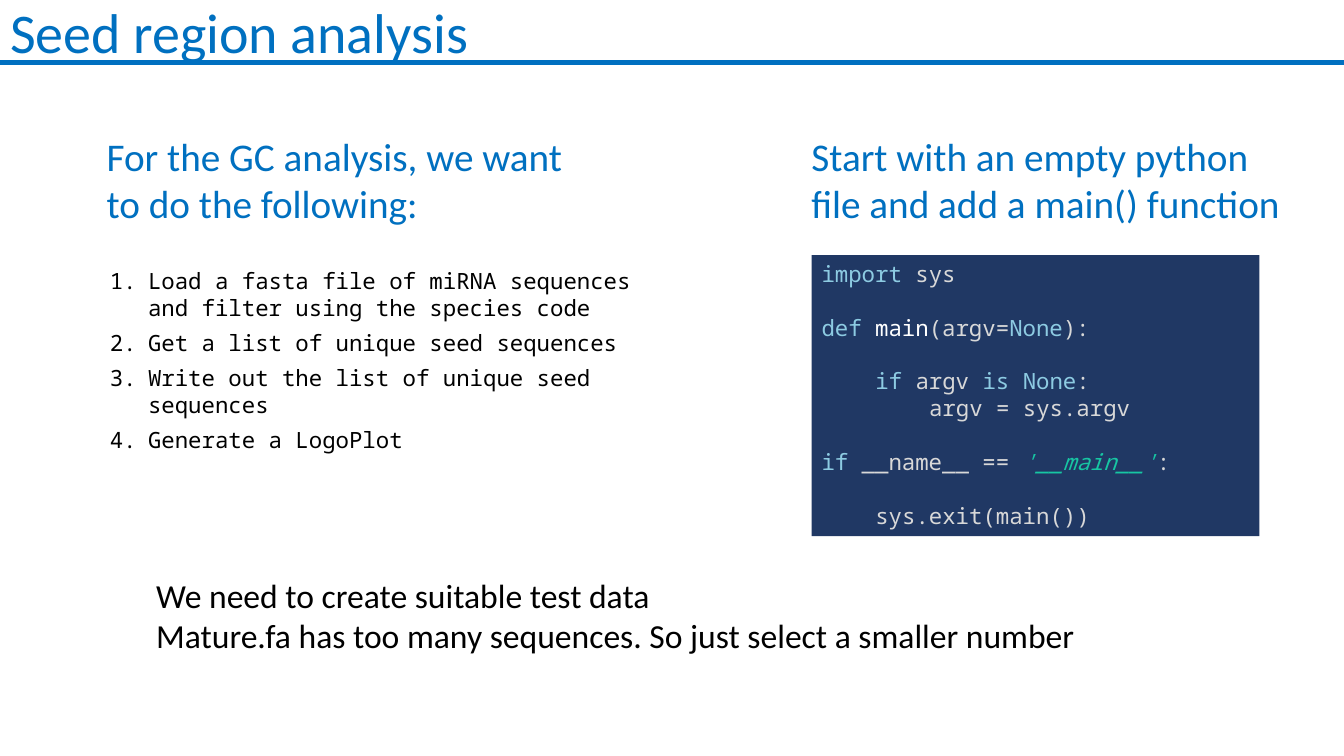
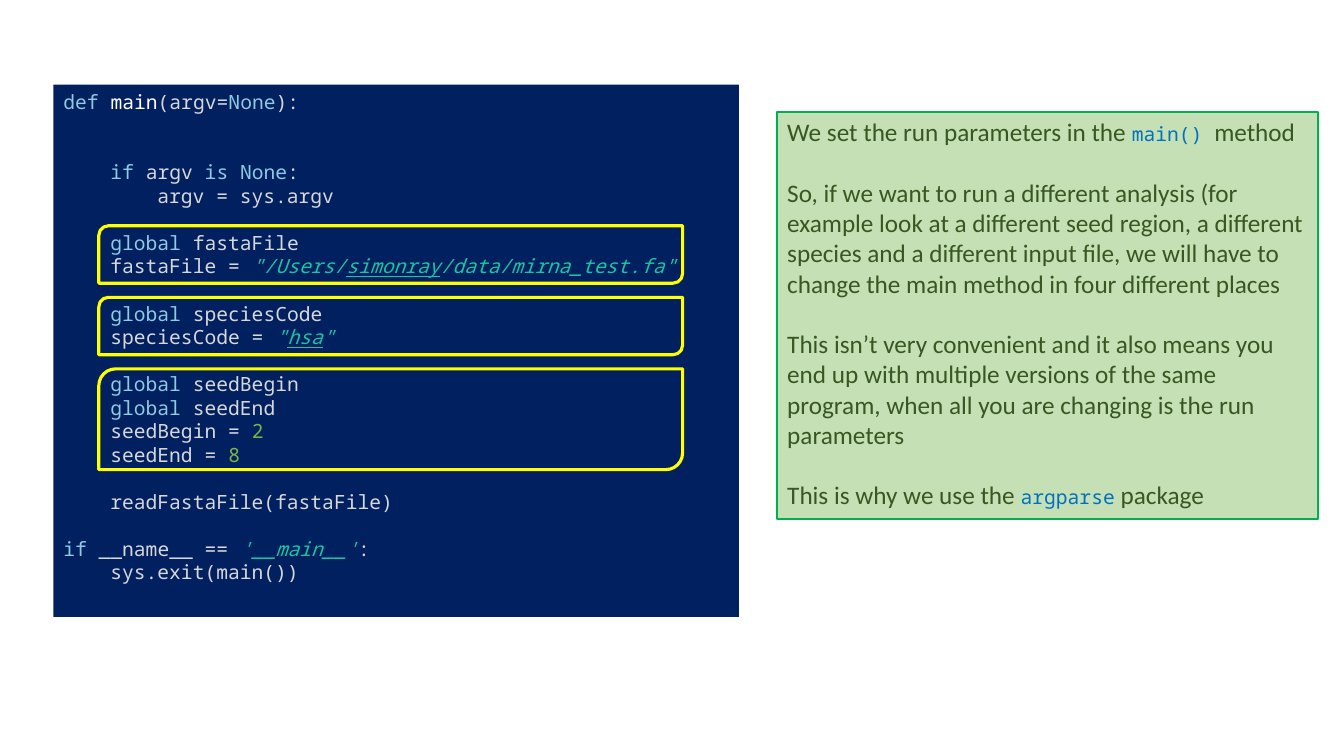
from dataclasses import dataclass
from typing import Any, NamedTuple

from lxml import etree
from pptx import Presentation
from pptx.dml.color import RGBColor
from pptx.enum.shapes import MSO_CONNECTOR, MSO_SHAPE
from pptx.enum.text import MSO_ANCHOR, PP_ALIGN
from pptx.oxml.ns import qn
from pptx.util import Inches, Pt

SANS = "Calibri"
MONO = "Noto Sans Mono"
BLUE = "0070C0"
BLACK = "000000"
CODE_GREY = "D8D8D8"
LINE_HEIGHT = 1.2  # line pitch relative to the font size
INDENT_EM = 2.4  # four monospaced characters

# Font attributes of each kind of text; sizes of code are set per panel
STYLES: dict[str, dict[str, Any]] = {
    "title": {"name": SANS, "size": Pt(40), "color": BLUE},
    "heading": {"name": SANS, "size": Pt(28), "color": BLUE},
    "remark": {"name": SANS, "size": Pt(24), "color": BLACK},
    "step": {"name": MONO, "size": Pt(16), "color": BLACK},
    "note": {"name": SANS, "size": Pt(18), "color": "385723"},
    "inline": {"name": MONO, "size": Pt(14), "color": BLUE},
    "plain": {"name": MONO, "color": CODE_GREY},
    "keyword": {"name": MONO, "color": "8DCBE2"},
    "function": {"name": MONO, "color": "FFFFFF"},
    "string": {"name": MONO, "color": "17C6A3", "italic": True},
    "marked": {"name": MONO, "color": "17C6A3", "italic": True, "underline": True},
    "number": {"name": MONO, "color": "7FB347"},
}


class Box(NamedTuple):
    left: float
    top: float
    width: float
    height: float

    def lengths(self) -> list[int]:
        return [Inches(value) for value in self]


class Run(NamedTuple):
    text: str
    style: str = "plain"


@dataclass
class Line:
    """A paragraph with its indent level and the empty lines above it."""
    runs: list[Run]
    level: int = 0
    gap: int = 0


def color(value: str) -> RGBColor:
    return RGBColor.from_string(value)


def add_run(paragraph, run: Run, **overrides: Any) -> None:
    text_run = paragraph.add_run()
    text_run.text = run.text
    for attribute, value in {**STYLES[run.style], **overrides}.items():
        if attribute == "color":
            text_run.font.color.rgb = color(value)
        else:
            setattr(text_run.font, attribute, value)


def fill_lines(shape, lines: list[Line], points: float, **overrides: Any) -> None:
    """Write lines, turning levels and gaps into indents and spacing."""
    frame = shape.text_frame
    frame.word_wrap = True
    frame.vertical_anchor = MSO_ANCHOR.TOP
    for index, line in enumerate(lines):
        paragraph = frame.add_paragraph() if index else frame.paragraphs[0]
        paragraph.alignment = PP_ALIGN.LEFT
        paragraph.space_before = Pt(line.gap * points * LINE_HEIGHT)
        if line.level:
            margin = Pt(line.level * points * INDENT_EM)
            paragraph._p.get_or_add_pPr().set("marL", str(margin))
        for run in line.runs:
            add_run(paragraph, run, **overrides)


def add_panel(slide, box: Box, fill: str | None = None, line: str | None = None,
              width: float = 1, kind: MSO_SHAPE = MSO_SHAPE.RECTANGLE):
    shape = slide.shapes.add_shape(kind, *box.lengths())
    shape.shadow.inherit = False
    if fill:
        shape.fill.solid()
        shape.fill.fore_color.rgb = color(fill)
    else:
        shape.fill.background()
    if line:
        shape.line.color.rgb = color(line)
        shape.line.width = Pt(width)
    else:
        shape.line.fill.background()
    return shape


def add_code(slide, box: Box, fill: str, points: float, lines: list[Line]) -> None:
    fill_lines(add_panel(slide, box, fill), lines, points, size=Pt(points))


def add_text(slide, box: Box, style: str, texts: list[str],
             space_after: float = 0, numbered: bool = False) -> None:
    frame = slide.shapes.add_textbox(*box.lengths()).text_frame
    frame.word_wrap = True
    for index, text in enumerate(texts):
        paragraph = frame.add_paragraph() if index else frame.paragraphs[0]
        paragraph.space_after = Pt(space_after)
        add_run(paragraph, Run(text, style))
        if numbered:
            properties = paragraph._p.get_or_add_pPr()
            properties.set("marL", str(Inches(0.38)))
            properties.set("indent", str(-Inches(0.38)))
            etree.SubElement(properties, qn("a:buFont"), typeface=MONO)
            etree.SubElement(properties, qn("a:buAutoNum"), type="arabicPeriod")


def add_title(slide, text: str, slide_width: float) -> None:
    title = slide.shapes.title
    box = Box(0, 0, slide_width, 0.7)
    for attribute, value in zip(("left", "top", "width", "height"), box.lengths()):
        setattr(title, attribute, value)
    title.text_frame.vertical_anchor = MSO_ANCHOR.MIDDLE
    paragraph = title.text_frame.paragraphs[0]
    paragraph.alignment = PP_ALIGN.LEFT
    paragraph.line_spacing = 0.9
    add_run(paragraph, Run(text, "title"))

    # Rule below the title
    rule = slide.shapes.add_connector(MSO_CONNECTOR.STRAIGHT, 0, Inches(0.62),
                                      Inches(slide_width), Inches(0.62))
    rule.line.color.rgb = color(BLUE)
    rule.line.width = Pt(3)
    etree.SubElement(rule._element.spPr, qn("a:effectLst"))


# Code that both slides show
MAIN_HEADER = [Run("def ", "keyword"), Run("main", "function"), Run("(argv="),
               Run("None", "keyword"), Run("):")]
ARGV_TEST = [Run("if ", "keyword"), Run("argv "), Run("is None", "keyword"), Run(":")]
ARGV_DEFAULT = Line([Run("argv = sys.argv")], level=2)
ENTRY_TEST = Line([Run("if", "keyword"), Run(" __name__ == "),
                   Run("'__main__'", "string"), Run(":")], gap=1)
EXIT_CALL = [Run("sys.exit(main())")]


def global_line(name: str, gap: int = 0) -> Line:
    return Line([Run("global ", "keyword"), Run(name)], level=1, gap=gap)


def assignment(name: str, *value: Run) -> Line:
    return Line([Run(f"{name} = "), *value], level=1)


def build_seed_slide(presentation, slide_width: float) -> None:
    slide = presentation.slides.add_slide(presentation.slide_layouts[5])
    add_title(slide, "Seed region analysis", slide_width)

    # Steps on the left
    add_text(slide, Box(0.96, 1.26, 4.74, 1.04), "heading",
             ["For the GC analysis, we want to do the following:"], 12)
    add_text(slide, Box(0.99, 2.6, 5.75, 1.97), "step", [
        "Load a fasta file of miRNA sequences and filter using the species code",
        "Get a list of unique seed sequences",
        "Write out the list of unique seed sequences",
        "Generate a LogoPlot",
    ], 6, numbered=True)

    # Starting code on the right
    add_text(slide, Box(7.95, 1.26, 4.96, 1.04), "heading",
             ["Start with an empty python file and add a main() function"], 12)
    add_code(slide, Box(8.05, 2.53, 4.44, 2.79), "203864", 16, [
        Line([Run("import", "keyword"), Run(" sys")]),
        Line(MAIN_HEADER, gap=1),
        Line(ARGV_TEST, level=1, gap=1),
        ARGV_DEFAULT,
        ENTRY_TEST,
        Line(EXIT_CALL, level=1, gap=1),
    ])

    # Remark on test data
    add_text(slide, Box(1.45, 5.65, 9.39, 0.91), "remark", [
        "We need to create suitable test data",
        "Mature.fa has too many sequences. So just select a smaller number",
    ])


def build_parameter_slide(presentation) -> None:
    slide = presentation.slides.add_slide(presentation.slide_layouts[6])

    # Main method
    add_code(slide, Box(0.53, 0.84, 6.8, 5.28), "002060", 14, [
        Line(MAIN_HEADER),
        Line(ARGV_TEST, level=1, gap=2),
        ARGV_DEFAULT,
        global_line("fastaFile", gap=1),
        assignment("fastaFile", Run('"/Users/', "string"), Run("simonray", "marked"),
                   Run('/data/mirna_test.fa"', "string")),
        global_line("speciesCode", gap=1),
        assignment("speciesCode", Run('"', "string"), Run("hsa", "marked"),
                   Run('"', "string")),
        global_line("seedBegin", gap=1),
        global_line("seedEnd"),
        assignment("seedBegin", Run("2", "number")),
        assignment("seedEnd", Run("8", "number")),
        Line([Run("readFastaFile(fastaFile)")], level=1, gap=1),
        ENTRY_TEST,
        Line(EXIT_CALL, level=1),
    ])

    # Explanation
    note = add_panel(slide, Box(7.71, 1.11, 5.36, 4.04), "C5E0B4", "00B050", 1.5)
    fill_lines(note, [
        Line([Run("We set the run parameters in the ", "note"),
              Run("main() ", "inline"), Run("method", "note")]),
        Line([Run("So, if we want to run a different analysis (for example look at a "
                  "different seed region, a different species and a different input "
                  "file, we will have to change the main method in four different "
                  "places", "note")], gap=1),
        Line([Run("This isn’t very convenient and it also means you end up with "
                  "multiple versions of the same program, when all you are changing "
                  "is the run parameters", "note")], gap=1),
        Line([Run("This is why we use the ", "note"), Run("argparse", "inline"),
              Run(" package", "note")], gap=1),
    ], 18)

    # Frames around the run parameters
    top = 2.24
    for height in (0.57, 0.57, 1):
        add_panel(slide, Box(0.98, top, 5.79, height), line="FFFF00", width=2.25,
                  kind=MSO_SHAPE.ROUND_2_DIAG_RECTANGLE)
        top += height + 0.14


def main() -> None:
    slide_width = 13.33
    presentation = Presentation()
    presentation.slide_width = Inches(slide_width)
    presentation.slide_height = Inches(7.5)
    build_seed_slide(presentation, slide_width)
    build_parameter_slide(presentation)
    presentation.save("out.pptx")


if __name__ == "__main__":
    main()
